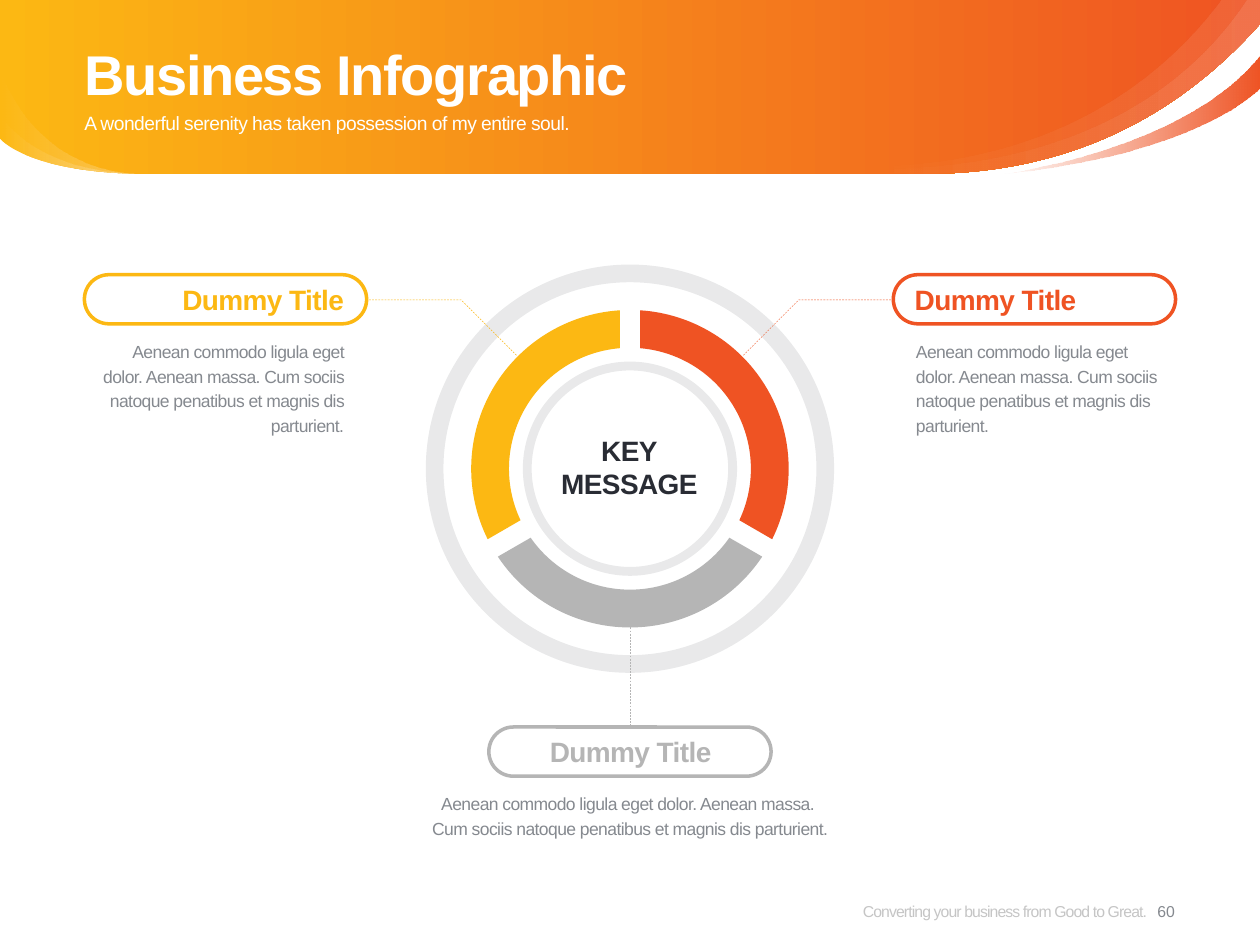
import math
import pptx
import pptx.util
import pptx.dml.color
import pptx.enum.dml
import pptx.enum.shapes
import pptx.enum.text
import pptx.oxml
import pptx.oxml.ns
import lxml.etree

Inches = pptx.util.Inches
Align = pptx.enum.text.PP_ALIGN
Shape = pptx.enum.shapes.MSO_SHAPE
qn = pptx.oxml.ns.qn
COLORS = {"yellow": "FCB813", "orange": "EF5323", "silver": "B5B5B5", "white": "FFFFFF",
          "ink": "292C34", "gray": "85898F", "footer": "8C8C8C"}
CENTER = (5, 3.72)


def rgb(name):
    return pptx.dml.color.RGBColor.from_string(COLORS[name])


def set_alpha(color_node, percent):
    alpha = lxml.etree.SubElement(color_node, qn("a:alpha"))
    alpha.set("val", str(percent * 1000))


def point_at(radius, angle):
    return CENTER[0] + radius * math.cos(angle), CENTER[1] + radius * math.sin(angle)


def arc(radius, start, end, pieces=2):
    step = (end - start) / pieces
    pull = 4 / 3 * math.tan(step / 4) * radius
    curves = []
    for index in range(pieces):
        first = start + index * step
        last = first + step
        (x1, y1), (x2, y2) = point_at(radius, first), point_at(radius, last)
        curves.append([(x1 - pull * math.sin(first), y1 + pull * math.cos(first)),
                       (x2 + pull * math.sin(last), y2 - pull * math.cos(last)), (x2, y2)])
    return curves


def ring_segment(middle, outer=1.26, inner=0.96, half_gap=0.08):
    ends = []
    for radius, direction in ((outer, 1), (inner, -1)):
        sweep = direction * (math.pi / 3 - math.asin(half_gap / radius))
        ends.append((radius, math.radians(middle) - sweep, math.radians(middle) + sweep))
    starts = [point_at(radius, start) for radius, start, end in ends]
    return [starts[0], *arc(*ends[0]), starts[1], *arc(*ends[1])]


class SlideBuilder:
    font = "Arial"

    def __init__(self, page):
        self.page = page

    def outline(self, parts, closed=True):
        """Each part is a corner (x, y) or a curve [control, control, end]."""
        corners = [corner for part in parts for corner in (part if isinstance(part, list) else [part])]
        corners = [(Inches(x), Inches(y)) for x, y in corners]
        builder = self.page.shapes.build_freeform(*corners[0])
        builder.add_line_segments(corners[1:], close=closed)
        shape = builder.convert_to_shape()
        shape.shadow.inherit = False
        segments = iter(shape.element.xpath(".//a:path/a:lnTo"))
        for part in parts[1:]:
            segment = next(segments)
            if isinstance(part, list):
                segment.tag = qn("a:cubicBezTo")
                for extra in (next(segments), next(segments)):
                    segment.append(extra[0])
                    extra.getparent().remove(extra)
        return shape

    def solid(self, shape, color, alpha=100):
        shape.shadow.inherit = False
        shape.fill.solid()
        shape.fill.fore_color.rgb = rgb(color)
        shape.line.fill.background()
        if alpha < 100:
            set_alpha(shape.element.xpath("./p:spPr/a:solidFill/a:srgbClr")[0], alpha)

    def gradient(self, parts, *stops):
        shape = self.outline(parts)
        shape.line.fill.background()
        shape.fill.gradient()
        shape.fill.gradient_angle = 0
        for stop, (position, color, alpha) in zip(shape.fill.gradient_stops, stops):
            stop.position = position
            stop.color.rgb = rgb(color)
        for node, (position, color, alpha) in zip(shape.element.xpath(".//a:gs/a:srgbClr"), stops):
            if alpha < 100:
                set_alpha(node, alpha)

    def ring(self, radius, thickness):
        shape = self.page.shapes.add_shape(Shape.DONUT, Inches(CENTER[0] - radius), Inches(CENTER[1] - radius),
                                           Inches(2 * radius), Inches(2 * radius))
        shape.adjustments[0] = thickness / (2 * radius)
        self.solid(shape, "ink", 10)

    def dashes(self, line, color):
        line.color.rgb = rgb(color)
        line.width = pptx.util.Pt(0.25)
        line.dash_style = pptx.enum.dml.MSO_LINE.DASH

    def leader(self, corners, color):
        shape = self.outline(corners, closed=False)
        shape.fill.background()
        self.dashes(shape.line, color)

    def connector(self, start, end, color, target):
        line = self.page.shapes.add_connector(pptx.enum.shapes.MSO_CONNECTOR.STRAIGHT,
                                              *[Inches(value) for value in start + end])
        line.end_connect(target, 0)
        self.dashes(line.line, color)
        lxml.etree.SubElement(line.element.spPr, qn("a:effectLst"))

    def pill(self, left, top, color):
        shape = self.page.shapes.add_shape(Shape.ROUNDED_RECTANGLE, Inches(left), Inches(top),
                                           Inches(2.24), Inches(0.39))
        shape.adjustments[0] = 0.5
        shape.shadow.inherit = False
        shape.fill.background()
        shape.line.color.rgb = rgb(color)
        shape.line.width = pptx.util.Pt(2)
        return shape

    def text(self, place, lines, size, color, align=Align.LEFT, bold=False, spacing=0,
             leading=None, middle=False, alpha=100):
        box = self.page.shapes.add_textbox(*[Inches(value) for value in place])
        frame = box.text_frame
        frame.word_wrap = True
        frame.margin_left = frame.margin_right = frame.margin_top = frame.margin_bottom = 0
        if middle:
            frame.vertical_anchor = pptx.enum.text.MSO_ANCHOR.MIDDLE
        for index, line in enumerate(lines):
            para = frame.add_paragraph() if index else frame.paragraphs[0]
            para.text = line
            para.alignment = align
            if leading:
                para.line_spacing = pptx.util.Pt(leading)
            para.font.name = self.font
            para.font.size = pptx.util.Pt(size)
            para.font.bold = bold
            para.font.color.rgb = rgb(color)
        for style in box.element.xpath(".//a:defRPr"):
            style.set("spc", str(round(spacing * 100)))
            if alpha < 100:
                set_alpha(style.xpath(".//a:srgbClr")[0], alpha)

    def heading(self, left, top, width, color, align):
        self.text((left, top, width, 0.27), ["Dummy Title"], 16, color, align, True, -0.3)

    def body(self, place, lines, align):
        self.text(place, lines, 10, "gray", align, spacing=-0.3, leading=14)


def draw_banner(builder):
    rim = [(10, 0), (10, 0.19), [(9.2, 1.09), (8.25, 1.38), (7.34, 1.38)]]
    corner = [(1.14, 1.38), [(0.21, 1.37), (0, 1.1), (0, 1.1)]]
    builder.gradient(rim + corner + [(0, 0)], (0, "yellow", 100), (1, "orange", 100))
    builder.gradient([(7.94, 1.38), [(7.94, 1.38), (9.4, 1.2), (10, 0.43)],
                      (10, 0.69), [(10, 0.69), (9.54, 1.22), (7.94, 1.38)]],
                     (0, "orange", 0), (1, "orange", 100))
    tail = [(7.25, 1.38), (6.83, 1.38), (6.51, 1.31)]

    def rim_gloss(inner_edge):
        builder.gradient(rim + [tail, inner_edge], (0.15, "white", 0), (1, "white", 10))

    rim_gloss([(8.32, 1.43), (9.26, 0.58), (9.69, 0)])
    for top in (0.89, 0.53):
        builder.gradient(corner + [(0, top), [(0, top), (0.21, 1.36), (1.14, 1.38)]],
                         (0, "white", 0), (1, "white", 30))
    rim_gloss([(6.58, 1.32), (8.82, 1.62), (9.89, 0)])


def main():
    deck = pptx.Presentation()
    deck.slide_width, deck.slide_height = Inches(10), Inches(7.5)
    builder = SlideBuilder(deck.slides.add_slide(deck.slide_layouts[6]))

    draw_banner(builder)
    builder.ring(0.85, 0.07)
    builder.ring(1.62, 0.14)
    for side, color in ((-1, "yellow"), (1, "orange")):
        builder.leader([(5 + side * x, y) for x, y in ((0.9, 2.82), (1.34, 2.38), (2.07, 2.38))], color)
    for angle, color in ((90, "silver"), (210, "yellow"), (330, "orange")):
        builder.solid(builder.outline(ring_segment(angle)), color)

    builder.text((0.67, 0.23, 8.66, 0.65), ["Business Infographic"], 32, "white",
                 bold=True, spacing=-0.8, leading=42, middle=True)
    builder.text((6.04, 6.96, 3.06, 0.54), ["Converting your business from Good to Great."], 9, "footer",
                 Align.RIGHT, spacing=-0.5, middle=True, alpha=50)
    builder.text((9.02, 6.96, 0.47, 0.54), ["60"], 9, "gray", Align.CENTER, middle=True)
    builder.text((0.67, 0.88, 8.66, 0.39), ["A wonderful serenity has taken possession of my entire soul."],
                 11, "white", spacing=-0.3)

    sentences = ["Aenean commodo ligula eget dolor. Aenean massa. ",
                 "Cum sociis natoque penatibus et magnis dis parturient."]
    builder.body((3.23, 6.27, 3.54, 0.39), sentences, Align.CENTER)
    builder.heading(4.02, 5.83, 1.97, "silver", Align.CENTER)
    bottom_pill = builder.pill(3.88, 5.77, "silver")
    builder.connector((5, 4.98), (5, 5.77), "silver", bottom_pill)
    for pill_left, title_left, body_left, color, align in (
            (0.67, 0.88, 0.8, "yellow", Align.RIGHT), (7.09, 7.26, 7.27, "orange", Align.LEFT)):
        builder.body((body_left, 2.68, 1.93, 0.79), ["".join(sentences)], align)
        builder.heading(title_left, 2.24, 1.85, color, align)
        builder.pill(pill_left, 2.18, color)
    builder.text((4.07, 3.44, 1.85, 0.54), ["KEY", "MESSAGE"], 16, "ink", Align.CENTER, True, -0.3)

    deck.save("out.pptx")


if __name__ == "__main__":
    main()
